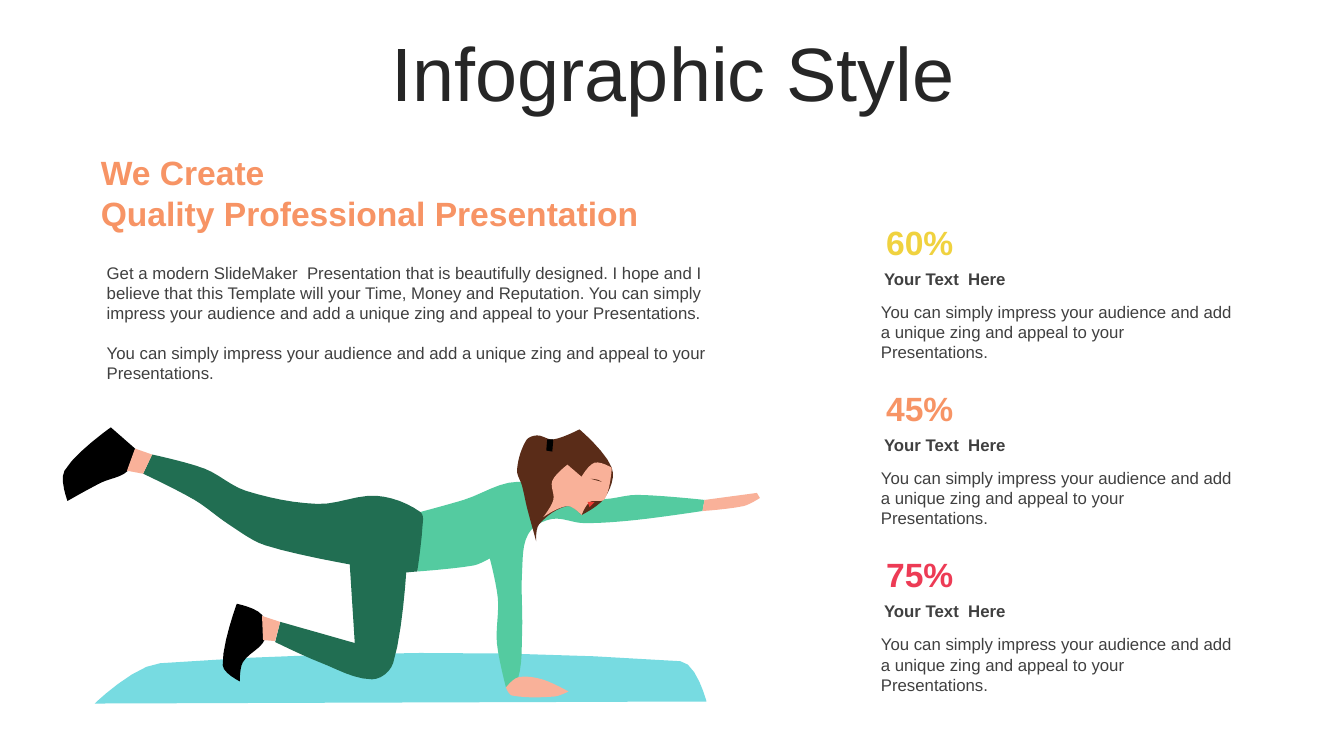
import math
from pptx import Presentation, util as u
from pptx.dml.color import RGBColor
from pptx.enum import text

COLORS = {
    "title": "262626", "body": "404040", "orange": "F79465", "yellow": "F0D23F", "red": "ED3B55",
    "mat": "77DBE1", "shirt": "54CBA0", "hair": "5A2C18", "trousers": "216E52", "black": "000000",
    "skin": "F9B199", "lips": "EF3D34",
}
TITLE = "Infographic Style"
HEADING = ["We Create", "Quality Professional Presentation"]
APPEAL = ("You can simply impress your audience and add a unique zing and appeal "
          "to your Presentations.")
INTRO = [
    "Get a modern SlideMaker  Presentation that is beautifully designed. I hope and I believe that "
    "this Template will your Time, Money and Reputation. " + APPEAL,
    APPEAL,
]
STATS = [("60%", "yellow"), ("45%", "orange"), ("75%", "red")]
STAT_LABEL = "Your Text  Here"

# Outline points of the figure, back to front, in hundredths of an inch
UNIT = 0.0254  # cm
FIGURE = [
    ("mat", [(94, 698), (159, 658), (675, 656), (701, 696)]),
    ("shirt", [
        (414, 567), (417, 508), (460, 496), (514, 478), (594, 495), (632, 491), (699, 496),
        (697, 507), (630, 516), (579, 519), (547, 515), (524, 530), (518, 567), (518, 628),
        (514, 673), (502, 682), (493, 638), (494, 594), (486, 554), (470, 561)]),
    ("hair", [
        (513, 466), (522, 437), (533, 432), (549, 436), (575, 426), (607, 464), (600, 494),
        (577, 511), (563, 502), (535, 520), (532, 537), (523, 504), (518, 482)]),
    ("trousers", [
        (142, 470), (193, 496), (228, 521), (263, 541), (347, 560), (352, 638), (278, 617),
        (273, 637), (317, 657), (369, 674), (390, 658), (403, 568), (414, 567), (419, 524),
        (417, 508), (374, 492), (315, 500), (244, 487), (203, 465), (151, 451)]),
    ("black", [(134, 445), (110, 424), (64, 467), (67, 497), (100, 479), (127, 467)]),
    ("skin", [
        (539, 513), (563, 502), (577, 511), (585, 498), (600, 495), (607, 464), (590, 459),
        (577, 473), (563, 461), (548, 477), (549, 496)]),
    ("black", [(221, 660), (238, 676), (241, 657), (263, 634), (260, 610), (235, 599)]),
    ("skin", [(699, 496), (697, 507), (738, 502), (754, 494), (751, 489)]),
    ("skin", [(134, 445), (126, 467), (142, 470), (151, 451)]),
    ("skin", [(260, 611), (261, 635), (273, 636), (278, 617)]),
    ("black", [(543, 436), (542, 447), (548, 448), (549, 436)]),
    ("skin", [(514, 672), (502, 682), (508, 690), (550, 691), (564, 686), (538, 674)]),
    ("lips", [(590, 498), (583, 498), (585, 503)]),
    ("hair", [(586, 475), (597, 478), (593, 476)]),
]


def tangent(before, point, after):
    """Unit direction through a point, or zero where the outline has a corner."""
    a = (point[0] - before[0], point[1] - before[1])
    b = (after[0] - point[0], after[1] - point[1])
    if a[0] * b[0] + a[1] * b[1] < 0.4 * math.hypot(*a) * math.hypot(*b):
        return 0, 0
    dx, dy = after[0] - before[0], after[1] - before[1]
    length = math.hypot(dx, dy)
    return dx / length, dy / length


def smooth(points, steps=6):
    n = len(points)
    tangents = [tangent(points[i - 1], points[i], points[(i + 1) % n]) for i in range(n)]
    curve = []
    for i in range(n):
        j = (i + 1) % n
        (p, q), (d, e) = (points[i], points[j]), (tangents[i], tangents[j])
        reach = math.dist(p, q) / 3
        for t in (k / steps for k in range(steps)):
            curve.append(tuple(
                (1 - t) ** 3 * p[a] + 3 * t * (1 - t) ** 2 * (p[a] + d[a] * reach)
                + 3 * t * t * (1 - t) * (q[a] - e[a] * reach) + t ** 3 * q[a] for a in (0, 1)))
    return curve


def add_outline(s, color, points):
    curve = [(u.Cm(x * UNIT), u.Cm(y * UNIT)) for x, y in smooth(points)]
    builder = s.shapes.build_freeform(*curve[0])
    builder.add_line_segments(curve[1:], close=True)
    sp = builder.convert_to_shape()
    sp.shadow.inherit = False
    sp.fill.solid()
    sp.fill.fore_color.rgb = RGBColor.from_string(COLORS[color])
    sp.line.fill.background()


def add_text(s, box, lines, size, color, bold=False, align=text.PP_ALIGN.LEFT,
             anchor=text.MSO_ANCHOR.TOP, gap=0, spacing=1.0, insets=(0.25, 0.13)):
    tf = s.shapes.add_textbox(*map(u.Cm, box)).text_frame
    tf.word_wrap = True
    tf.vertical_anchor = anchor
    tf.margin_left = tf.margin_right = u.Cm(insets[0])
    tf.margin_top = tf.margin_bottom = u.Cm(insets[1])
    for i, line in enumerate(lines):
        p = tf.paragraphs[0] if i == 0 else tf.add_paragraph()
        p.alignment = align
        p.line_spacing = spacing
        if i:
            p.space_before = u.Pt(gap)
        r = p.add_run()
        r.text = line
        r.font.name, r.font.size, r.font.bold = "Arial", u.Pt(size), bold
        r.font.color.rgb = RGBColor.from_string(COLORS[color])


def main():
    prs = Presentation()
    prs.slide_width, prs.slide_height = u.Cm(33.87), u.Cm(19.05)
    s = prs.slides.add_slide(prs.slide_layouts[6])
    centred = {"align": text.PP_ALIGN.CENTER, "anchor": text.MSO_ANCHOR.MIDDLE}

    # Title
    add_text(s, (0.89, 0.94, 32.16, 2.01), [TITLE], 54, "title", spacing=0.9, **centred)

    # Woman exercising on a mat
    for color, points in FIGURE:
        add_outline(s, color, points)

    # Heading and introduction
    add_text(s, (2.44, 3.84, 15.8, 2.06), HEADING, 24, "orange", bold=True, insets=(0.1, 0))
    add_text(s, (2.44, 6.48, 15.8, 3.33), INTRO, 12, "body", gap=14)

    # Percentages, one block below the other
    left, top, pitch = 21.95, 5.46, 4.19
    for i, (value, color) in enumerate(STATS):
        y = top + i * pitch
        add_text(s, (left, y, 2.46, 1.27), [value], 24, color, bold=True, **centred)
        add_text(s, (left, y + 2.01, 9.45, 1.27), [APPEAL], 12, "body")
        add_text(s, (left + 0.08, y + 1.17, 9.45, 0.76), [STAT_LABEL], 12, "body", bold=True)

    prs.save("out.pptx")


if __name__ == "__main__":
    main()
